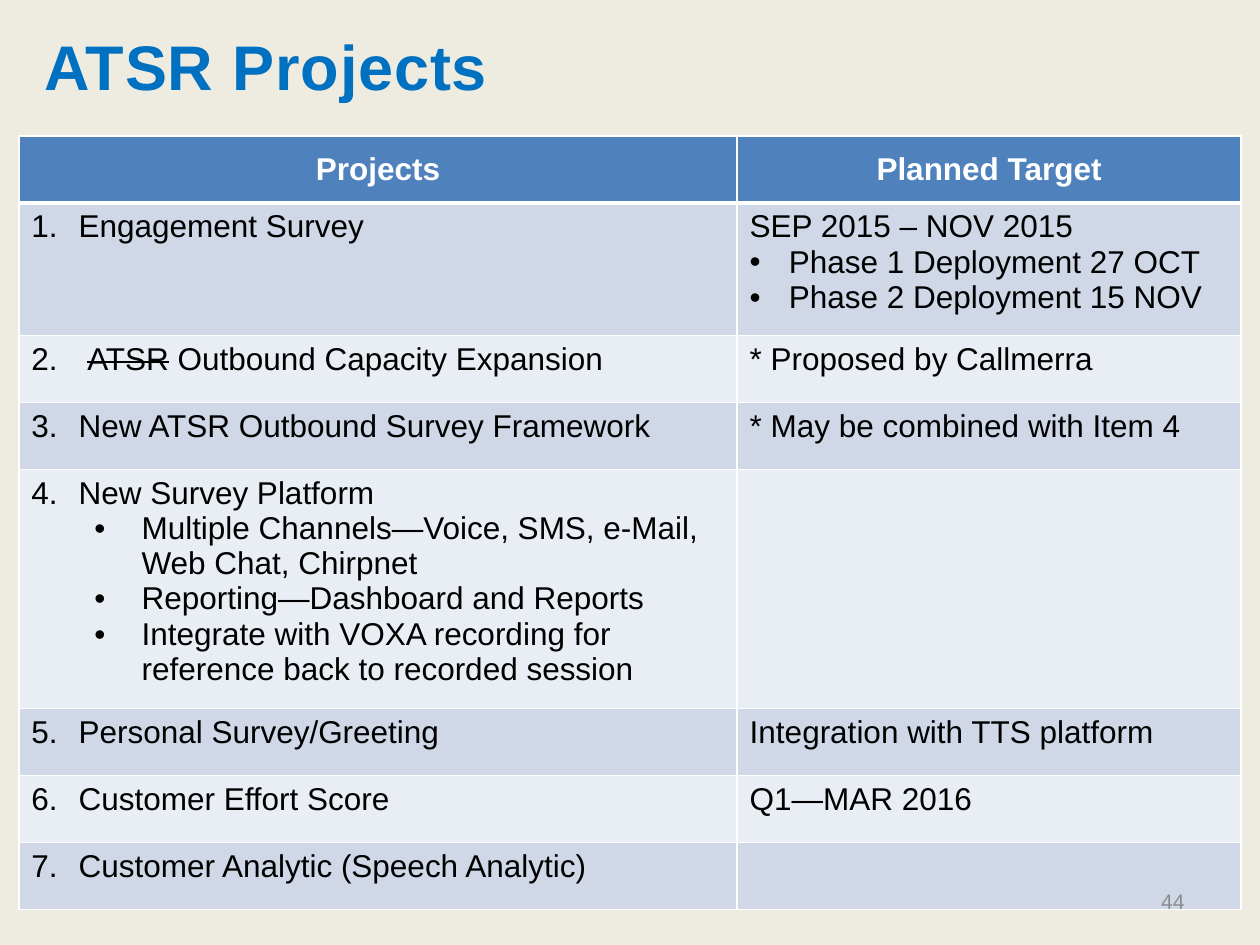
from dataclasses import dataclass

from lxml.etree import SubElement
from pptx import Presentation
from pptx.dml.color import RGBColor
from pptx.enum.text import MSO_ANCHOR as Anchor, PP_ALIGN as Align
from pptx.oxml.ns import qn
from pptx.util import Cm, Pt

FONT = "Arial"
WHITE, BLACK = "FFFFFF", "000000"
HEADER_FILL, BANDS = "4F81BD", ("D0D8E8", "E9EDF4")
COLUMN_WIDTHS = (14.48, 10.16)
ROW_HEIGHT, TABLE_HEIGHT = 1.35, 15.57


@dataclass(frozen=True)
class Item:
    text: str
    indent: float = 0
    hanging: float = 0
    level: int = 0
    bullet: str = ""
    number: int = 0
    struck: str = ""


@dataclass(frozen=True)
class Project:
    name: str
    target: tuple[Item, ...] = ()
    details: tuple[str, ...] = ()
    struck: str = ""
    height: float = ROW_HEIGHT


def phase(text: str) -> Item:
    return Item(text, indent=0.79, hanging=0.79, bullet="•")


def detail(text: str) -> Item:
    return Item(text, indent=2.22, hanging=0.95, level=1, bullet="•")


PROJECTS = (
    Project("Engagement Survey",
            (Item("SEP 2015 – NOV 2015"),
             phase("Phase 1 Deployment 27 OCT"),
             phase("Phase 2 Deployment 15 NOV")), height=2.67),
    Project(" ATSR Outbound Capacity Expansion",
            (Item("* Proposed by Callmerra"),), struck="ATSR"),
    Project("New ATSR Outbound Survey Framework",
            (Item("* May be combined with Item 4"),)),
    Project("New Survey Platform",
            details=("Multiple Channels—Voice, SMS, e-Mail, Web Chat, Chirpnet",
                     "Reporting—Dashboard and Reports",
                     "Integrate with VOXA recording for reference back to recorded session")),
    Project("Personal Survey/Greeting", (Item("Integration with TTS platform"),)),
    Project("Customer Effort Score", (Item("Q1—MAR 2016"),)),
    Project("Customer Analytic (Speech Analytic)"),
)


def color(value: str) -> RGBColor:
    return RGBColor.from_string(value)


def add_span(para, text: str, *, size: float = 18, fill: str = BLACK,
             bold: bool = False, strike: bool = False, spacing: float = 0) -> None:
    span = para.add_run()
    span.text = text
    font = span.font
    font.name, font.size, font.bold = FONT, Pt(size), bold
    font.color.rgb = color(fill)
    properties = span._r.get_or_add_rPr()
    if strike:
        properties.set("strike", "sngStrike")
    if spacing:
        properties.set("spc", str(round(spacing * 100)))


def add_marker(para, item: Item) -> None:
    """Give the paragraph its hanging indent and its bullet or number."""
    properties = para._p.get_or_add_pPr()
    properties.set("marL", str(Cm(item.indent)))
    properties.set("indent", str(-Cm(item.hanging)))
    SubElement(properties, qn("a:buFont"), typeface=FONT)
    if item.number:
        SubElement(properties, qn("a:buAutoNum"), type="arabicPeriod",
                   startAt=str(item.number))
    else:
        SubElement(properties, qn("a:buChar"), char=item.bullet)


def write_items(frame, items: tuple[Item, ...]) -> None:
    for index, item in enumerate(items):
        para = frame.add_paragraph() if index else frame.paragraphs[0]
        para.level = item.level
        if item.bullet or item.number:
            add_marker(para, item)
        if item.struck:
            before, after = item.text.split(item.struck, 1)
            add_span(para, before)
            add_span(para, item.struck, strike=True)
            add_span(para, after)
        else:
            add_span(para, item.text)


def style_cell(cell, fill: str, *, top: float = 1, bottom: float = 1) -> None:
    """Set the white borders, then the fill, in the order the schema requires."""
    properties = cell._tc.get_or_add_tcPr()
    for side, width in (("L", 1), ("R", 1), ("T", top), ("B", bottom)):
        line = SubElement(properties, qn(f"a:ln{side}"), w=str(Pt(width)))
        paint = SubElement(line, qn("a:solidFill"))
        SubElement(paint, qn("a:srgbClr"), val=WHITE)
    cell.fill.solid()
    cell.fill.fore_color.rgb = color(fill)


def add_text(slide, text: str, left: float, top: float, width: float, height: float,
             *, align=Align.LEFT, anchor=Anchor.TOP, **style) -> None:
    box = slide.shapes.add_textbox(Cm(left), Cm(top), Cm(width), Cm(height))
    frame = box.text_frame
    frame.word_wrap = True
    frame.vertical_anchor = anchor
    para = frame.paragraphs[0]
    para.alignment = align
    add_span(para, text, **style)


def add_project_table(slide, projects: tuple[Project, ...]) -> None:
    """Draw the table; rows grow to hold their text within the table height."""
    heights = [ROW_HEIGHT] + [project.height for project in projects]
    holder = slide.shapes.add_table(
        len(heights), len(COLUMN_WIDTHS), Cm(0.38), Cm(2.74),
        Cm(sum(COLUMN_WIDTHS)), Cm(TABLE_HEIGHT))
    table = holder.table
    for column, width in zip(table.columns, COLUMN_WIDTHS):
        column.width = Cm(width)
    for row, height in zip(table.rows, heights):
        row.height = Cm(height)
    holder.height = Cm(TABLE_HEIGHT)

    for cell, heading in zip(table.rows[0].cells, ("Projects", "Planned Target")):
        style_cell(cell, HEADER_FILL, bottom=3)
        cell.vertical_anchor = Anchor.MIDDLE
        para = cell.text_frame.paragraphs[0]
        para.alignment = Align.CENTER
        add_span(para, heading, fill=WHITE, bold=True)

    for number, project in enumerate(projects, start=1):
        title = Item(project.name, indent=0.95, hanging=0.95, number=number,
                     struck=project.struck)
        contents = ((title, *map(detail, project.details)), project.target)
        for cell, items in zip(table.rows[number].cells, contents):
            style_cell(cell, BANDS[(number - 1) % 2], top=3 if number == 1 else 1)
            write_items(cell.text_frame, items)


def main() -> None:
    deck = Presentation()
    deck.slide_width, deck.slide_height = Cm(25.4), Cm(19.05)
    slide = deck.slides.add_slide(deck.slide_layouts[6])
    slide.background.fill.solid()
    slide.background.fill.fore_color.rgb = color("EEECE1")
    add_text(slide, "ATSR Projects", 0.64, 0.43, 22.86, 3.18,
             size=36, fill="0070C0", bold=True, spacing=0.5)
    add_project_table(slide, PROJECTS)
    add_text(slide, "44", 18.21, 17.65, 5.92, 1.02, align=Align.RIGHT,
             anchor=Anchor.MIDDLE, size=12, fill="8C8C8C")
    deck.save("out.pptx")


if __name__ == "__main__":
    main()
